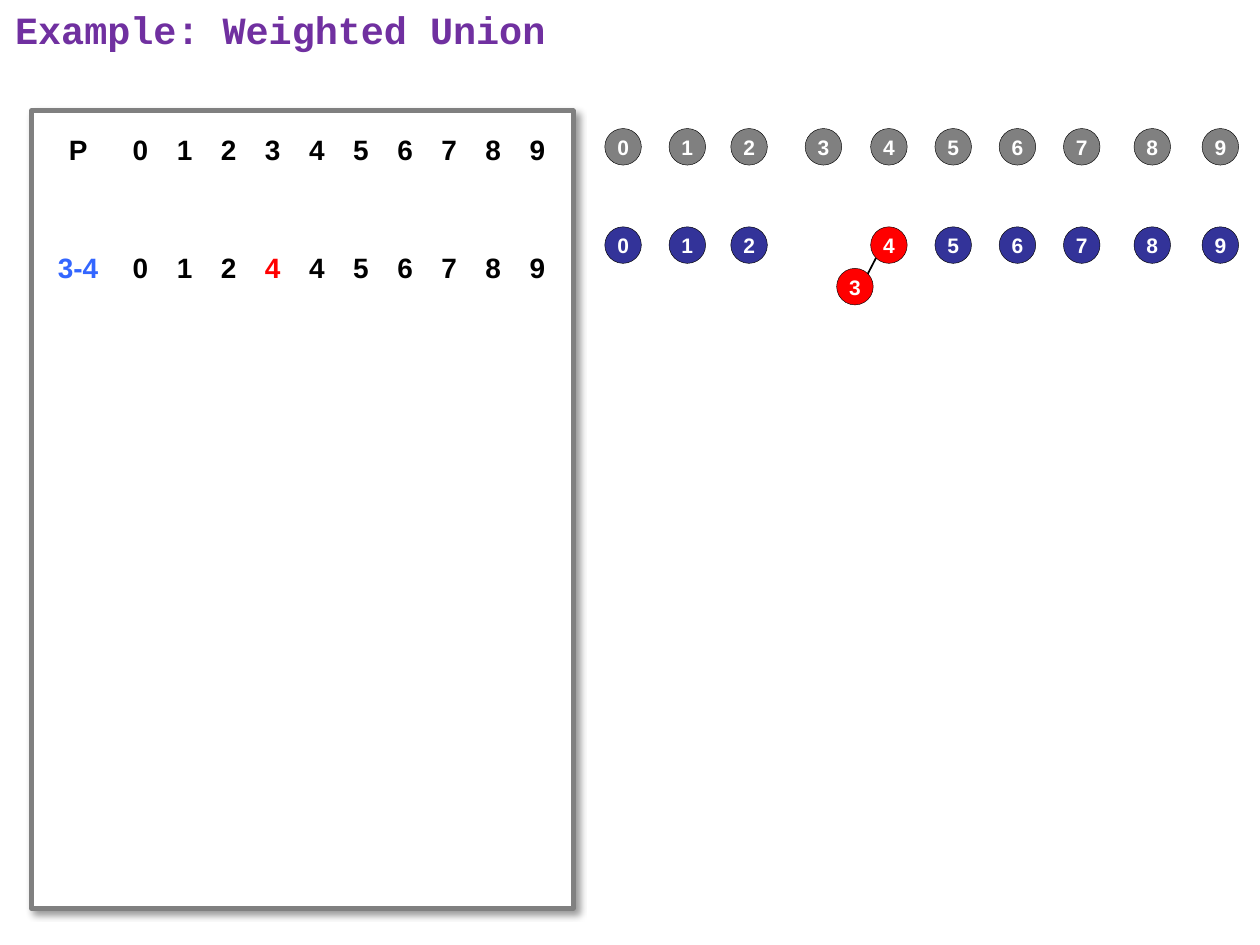
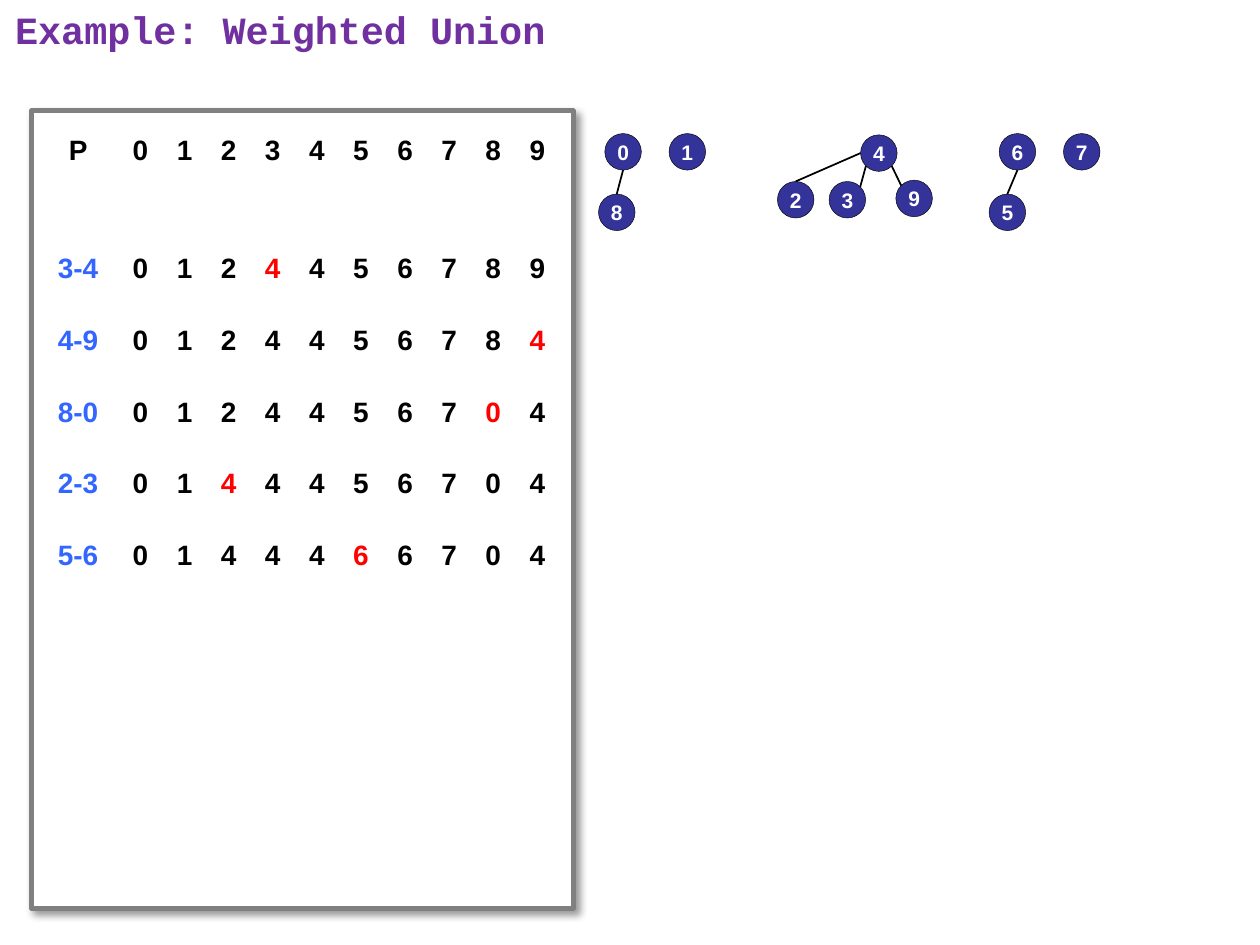
import math
from dataclasses import dataclass

import lxml.etree
import pptx
import pptx.dml.color
import pptx.enum.shapes
import pptx.enum.text
import pptx.oxml.ns
import pptx.presentation
import pptx.shapes.autoshape
import pptx.slide
import pptx.util

Inches = pptx.util.Inches
Pt = pptx.util.Pt
MIDDLE = pptx.enum.text.MSO_ANCHOR.MIDDLE
CENTER = pptx.enum.text.PP_ALIGN.CENTER
LEFT = pptx.enum.text.PP_ALIGN.LEFT
SHAPES = pptx.enum.shapes.MSO_SHAPE

COLORS = {
    "title": "7030A0",
    "black": "000000",
    "white": "FFFFFF",
    "gray": "808080",
    "node": "333399",
    "union": "3366FF",
    "changed": "FF0000",
}
TITLE_FONT = {"name": "Courier New", "size": Pt(22), "bold": True}
CELL_FONT = {"name": "Arial", "size": Pt(16), "bold": True}
NODE_FONT = {"name": "Arial", "size": Pt(12), "bold": True}

DIAMETER = 0.29
# Directions from a node's centre, in degrees, clockwise from the right
ANGLES = {"right": 0, "bottom right": 45, "bottom": 90, "bottom left": 135,
          "left": 180, "top left": 225, "top": 270, "top right": 315}


@dataclass
class Union:
    label: str
    child: int
    root: int


@dataclass
class Node:
    number: int
    left: float
    top: float
    color: str = "node"

    def point(self, side: str) -> tuple[int, int]:
        """Return the point of the circle's outline on the given side."""
        angle = math.radians(ANGLES[side])
        radius = DIAMETER / 2
        return (Inches(self.left + radius * (1 + math.cos(angle))),
                Inches(self.top + radius * (1 + math.sin(angle))))


@dataclass
class Edge:
    child: Node
    child_side: str
    root: Node
    root_side: str


UNIONS = [Union("3-4", 3, 4), Union("4-9", 9, 4), Union("8-0", 8, 0),
          Union("2-3", 2, 4), Union("5-6", 5, 6)]
NODE_LEFTS = [4.8, 5.31, 5.8, 6.39, 6.91, 7.42, 7.93, 8.44, 9, 9.54]


def rgb(color: str) -> pptx.dml.color.RGBColor:
    return pptx.dml.color.RGBColor.from_string(COLORS[color])


def write(tf: pptx.text.text.TextFrame, text: str, font: dict, color: str,
          align: pptx.enum.text.PP_ALIGN = CENTER) -> None:
    p = tf.paragraphs[0]
    p.alignment = align
    r = p.add_run()
    r.text = text
    for name, value in font.items():
        setattr(r.font, name, value)
    r.font.color.rgb = rgb(color)


def style_shape(sp: pptx.shapes.autoshape.Shape, fill: str, line: str,
                width: float) -> None:
    sp.shadow.inherit = False
    sp.fill.solid()
    sp.fill.fore_color.rgb = rgb(fill)
    sp.line.color.rgb = rgb(line)
    sp.line.width = Pt(width)


def add_effects(sp) -> lxml.etree._Element:
    """Add an empty effect list, which also switches off the theme's shadow."""
    return lxml.etree.SubElement(sp._element.spPr, pptx.oxml.ns.qn("a:effectLst"))


def add_title(s: pptx.slide.Slide, text: str) -> None:
    sp = s.shapes.title
    sp.left, sp.top = Inches(0.02), Inches(-0.03)
    sp.width, sp.height = Inches(10.21), Inches(6.41)
    tf = sp.text_frame
    tf.word_wrap = True
    tf.auto_size = pptx.enum.text.MSO_AUTO_SIZE.NONE
    tf.vertical_anchor = pptx.enum.text.MSO_ANCHOR.TOP
    tf.margin_top = Inches(0.08)
    write(tf, text, TITLE_FONT, "title", LEFT)


def add_panel(s: pptx.slide.Slide) -> None:
    sp = s.shapes.add_shape(SHAPES.RECTANGLE, Inches(0.25), Inches(0.88),
                            Inches(4.3), Inches(6.33))
    style_shape(sp, "white", "gray", 2.75)
    qn = pptx.oxml.ns.qn
    effects = sp._element.spPr.find(qn("a:effectLst"))
    shadow = lxml.etree.SubElement(
        effects, qn("a:outerShdw"), blurRad=str(Pt(4)), dist=str(Pt(3)),
        dir=str(45 * 60000), algn="tl", rotWithShape="0")
    color = lxml.etree.SubElement(shadow, qn("a:srgbClr"), val=COLORS["black"])
    lxml.etree.SubElement(color, qn("a:alpha"), val="40000")


def add_parent_table(s: pptx.slide.Slide, unions: list[Union]) -> None:
    """Show the parent array, then its state after each union."""
    heights = [0.57, 0.37] + [0.57] * len(unions)
    widths = [0.64] + [0.35] * 10
    frame = s.shapes.add_table(len(heights), len(widths), Inches(0.3), Inches(0.91),
                               Inches(sum(widths)), Inches(sum(heights)))
    table = frame.table
    table.first_row = table.horz_banding = False
    for column, width in zip(table.columns, widths):
        column.width = Inches(width)
    for row, height in zip(table.rows, heights):
        row.height = Inches(height)
    for cell in table.iter_cells():
        cell.fill.background()
        cell.vertical_anchor = MIDDLE
        cell.margin_top = cell.margin_bottom = 0

    parents = list(range(10))

    def fill_row(row: int, label: str, label_color: str, changed: int | None) -> None:
        write(table.cell(row, 0).text_frame, label, CELL_FONT, label_color)
        for i, parent in enumerate(parents):
            color = "changed" if i == changed else "black"
            write(table.cell(row, i + 1).text_frame, str(parent), CELL_FONT, color)

    fill_row(0, "P", "black", None)
    for row, union in enumerate(unions, start=2):
        parents[union.child] = union.root
        fill_row(row, union.label, "union", union.child)


def add_node(s: pptx.slide.Slide, node: Node) -> None:
    sp = s.shapes.add_shape(SHAPES.OVAL, Inches(node.left), Inches(node.top),
                            Inches(DIAMETER), Inches(DIAMETER))
    style_shape(sp, node.color, "black", 0.25)
    tf = sp.text_frame
    tf.word_wrap = False
    tf.vertical_anchor = MIDDLE
    for side in ("left", "top", "right", "bottom"):
        setattr(tf, f"margin_{side}", 0)
    write(tf, str(node.number), NODE_FONT, "white")


def add_edge(s: pptx.slide.Slide, edge: Edge) -> None:
    line = s.shapes.add_connector(pptx.enum.shapes.MSO_CONNECTOR.STRAIGHT,
                                  *edge.child.point(edge.child_side),
                                  *edge.root.point(edge.root_side))
    line.line.color.rgb = rgb("black")
    line.line.width = Pt(1)
    add_effects(line)


def add_union_slide(prs: pptx.presentation.Presentation, unions: list[Union],
                    nodes: list[Node], edges: list[Edge]) -> None:
    s = prs.slides.add_slide(prs.slide_layouts[5])
    add_title(s, "Example: Weighted Union")
    add_panel(s)
    add_parent_table(s, unions)
    for node in nodes:
        add_node(s, node)
    for edge in edges:
        add_edge(s, edge)


def main() -> None:
    prs = pptx.Presentation()
    prs.slide_width, prs.slide_height = Inches(10), Inches(7.5)

    start = [Node(i, left, 1.02, "gray") for i, left in enumerate(NODE_LEFTS)]
    joined = [Node(i, left, 1.8) for i, left in enumerate(NODE_LEFTS)]
    joined[3] = Node(3, 6.64, 2.13, "changed")
    joined[4].color = "changed"
    add_union_slide(prs, UNIONS[:1], start + joined,
                    [Edge(joined[3], "top right", joined[4], "bottom left")])

    forest = [
        Node(0, 4.8, 1.06), Node(1, 5.31, 1.06), Node(2, 6.17, 1.44),
        Node(3, 6.58, 1.44), Node(4, 6.83, 1.07), Node(5, 7.85, 1.54),
        Node(6, 7.93, 1.06), Node(7, 8.44, 1.06), Node(8, 4.75, 1.54),
        Node(9, 7.11, 1.43),
    ]
    add_union_slide(prs, UNIONS, forest, [
        Edge(forest[8], "top", forest[0], "bottom"),
        Edge(forest[5], "top", forest[6], "bottom"),
        Edge(forest[3], "top right", forest[4], "bottom left"),
        Edge(forest[9], "top left", forest[4], "bottom right"),
        Edge(forest[2], "top", forest[4], "left"),
    ])
    prs.save("out.pptx")


if __name__ == "__main__":
    main()
